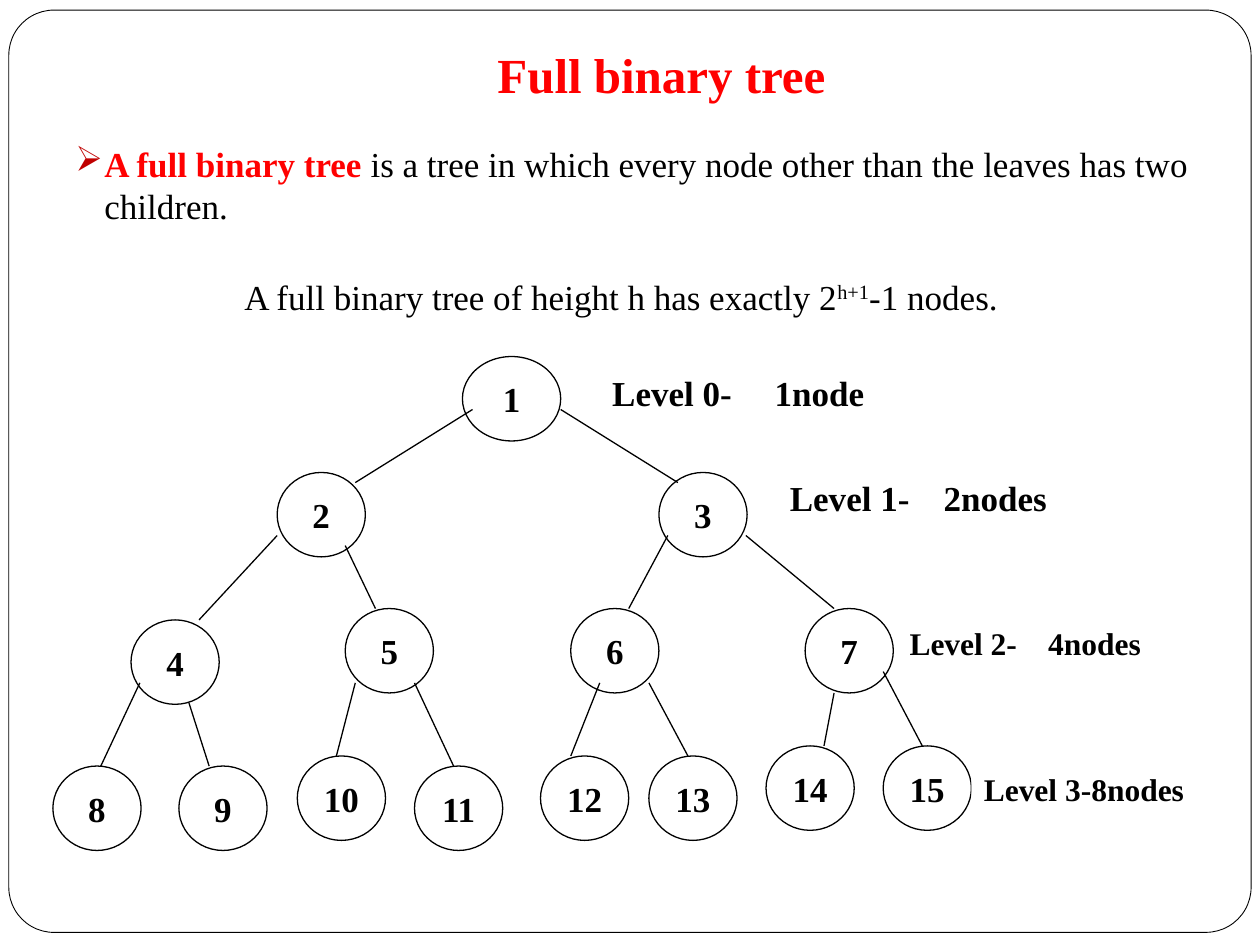
from dataclasses import dataclass
from typing import Optional

from lxml.etree import SubElement
from pptx import Presentation
from pptx.dml.color import RGBColor
from pptx.enum.shapes import MSO_CONNECTOR, MSO_SHAPE
from pptx.enum.text import MSO_ANCHOR, PP_ALIGN
from pptx.oxml.ns import qn
from pptx.util import Inches, Pt

BLACK = RGBColor(0, 0, 0)
WHITE = RGBColor(255, 255, 255)
RED = RGBColor(255, 0, 0)
FACE = "Times New Roman"


@dataclass
class Node:
    num: int
    left: float
    top: float
    link: Optional[tuple] = None  # line from the parent: x1, y1, x2, y2
    width: float = 0.7


@dataclass
class Label:
    level: str
    count: str
    left: float
    top: float
    width: float
    size: int
    tab: float = 0  # where the count starts, if set apart


NODES = [
    Node(1, 3.67, 2.83, width=0.78),
    Node(2, 2.2, 3.75, (3.75, 3.25, 2.82, 3.83)),
    Node(3, 5.23, 3.75, (4.45, 3.25, 5.38, 3.83)),
    Node(4, 1.04, 4.92, (2.2, 4.25, 1.58, 4.92)),
    Node(5, 2.74, 4.83, (2.74, 4.33, 2.98, 4.83)),
    Node(6, 4.53, 4.83, (5.3, 4.25, 4.99, 4.83)),
    Node(7, 6.39, 4.83, (5.92, 4.25, 6.62, 4.83)),
    Node(8, 0.42, 6.08, (1.11, 5.42, 0.8, 6.08)),
    Node(9, 1.42, 6.08, (1.5, 5.58, 1.66, 6.08)),
    Node(10, 2.36, 6, (2.82, 5.42, 2.67, 6)),
    Node(11, 3.29, 6.08, (3.29, 5.42, 3.6, 6.08)),
    Node(12, 4.29, 6, (4.76, 5.42, 4.53, 6)),
    Node(13, 5.15, 6, (5.15, 5.42, 5.46, 6)),
    Node(14, 6.08, 5.92, (6.62, 5.5, 6.54, 5.92)),
    Node(15, 7.01, 5.92, (7.01, 5.33, 7.32, 5.92)),
]
LABELS = [
    Label("Level 0-", "1node", 4.76, 2.9, 2.21, 20, 1.29),
    Label("Level 1-", "2nodes", 6.17, 3.73, 2.25, 20, 1.22),
    Label("Level 2-", "4nodes", 7.12, 4.9, 2.21, 18, 1.1),
    Label("Level 3-", "8nodes", 7.71, 6.06, 1.79, 18),
]


def style(par, size: int, bold: bool = False, color: RGBColor = BLACK) -> None:
    font = par.font
    font.name, font.size, font.bold = FACE, Pt(size), bold
    font.color.rgb = color


def add_tab(par, pos: float) -> None:
    tabs = SubElement(par._p.get_or_add_pPr(), qn("a:tabLst"))
    SubElement(tabs, qn("a:tab"), pos=str(Inches(pos)), algn="l")


def draw_node(slide, node: Node) -> None:
    oval = slide.shapes.add_shape(
        MSO_SHAPE.OVAL, Inches(node.left), Inches(node.top),
        Inches(node.width), Inches(0.67))
    oval.shadow.inherit = False
    oval.fill.solid()
    oval.fill.fore_color.rgb = WHITE
    oval.line.color.rgb = BLACK
    oval.line.width = Pt(0.75)
    frame = oval.text_frame
    frame.word_wrap = False
    frame.vertical_anchor = MSO_ANCHOR.MIDDLE
    par = frame.paragraphs[0]
    par.text = str(node.num)
    par.alignment = PP_ALIGN.CENTER
    style(par, 20, True)


def draw_link(slide, link: tuple) -> None:
    line = slide.shapes.add_connector(
        MSO_CONNECTOR.STRAIGHT, *(Inches(v) for v in link))
    line.line.color.rgb = BLACK
    line.line.width = Pt(0.75)
    SubElement(line._element.spPr, qn("a:effectLst"))


def draw_label(slide, label: Label) -> None:
    box = slide.shapes.add_textbox(
        Inches(label.left), Inches(label.top), Inches(label.width),
        Inches(0.44 if label.size == 20 else 0.4))
    box.fill.solid()
    box.fill.fore_color.rgb = WHITE
    frame = box.text_frame
    frame.word_wrap = True
    frame.margin_right = 0
    par = frame.paragraphs[0]
    if label.tab:
        add_tab(par, label.tab)
    par.text = label.level + ("\t" if label.tab else "") + label.count
    style(par, label.size, True)


def draw_frame(slide) -> None:
    edge = slide.shapes.add_shape(
        MSO_SHAPE.ROUNDED_RECTANGLE, Inches(0.07), Inches(0.08),
        Inches(9.86), Inches(7.32))
    edge.adjustments[0] = 0.049
    edge.shadow.inherit = False
    edge.fill.background()
    edge.line.color.rgb = BLACK
    edge.line.width = Pt(0.5)


def draw_title(slide) -> None:
    box = slide.shapes.add_textbox(
        Inches(1), Inches(0.25), Inches(8.5), Inches(0.67))
    frame = box.text_frame
    frame.word_wrap = True
    frame.margin_bottom = Inches(0.1)
    frame.vertical_anchor = MSO_ANCHOR.BOTTOM
    par = frame.paragraphs[0]
    par.text = "Full binary tree"
    par.alignment = PP_ALIGN.CENTER
    style(par, 28, True, RED)


def draw_body(slide) -> None:
    box = slide.shapes.add_textbox(
        Inches(0.5), Inches(1.08), Inches(9.25), Inches(1.48))
    frame = box.text_frame
    frame.word_wrap = True

    # Definition with an arrow bullet
    par = frame.paragraphs[0]
    props = par._p.get_or_add_pPr()
    props.set("marL", str(Inches(0.23)))
    props.set("indent", str(-Inches(0.23)))
    tint = SubElement(props, qn("a:buClr"))
    SubElement(tint, qn("a:srgbClr"), val="C00000")
    SubElement(props, qn("a:buChar"), char="➢")
    style(par, 20)
    term = par.add_run()
    term.text = "A full binary tree "
    term.font.bold = True
    term.font.color.rgb = RED
    par.add_run().text = (
        "is a tree in which every node other than the leaves has two children.")

    # Node count formula
    par = frame.add_paragraph()
    par._p.get_or_add_pPr().set("marL", str(Inches(1.34)))
    par.space_before = Pt(28)
    style(par, 20)
    par.add_run().text = "A full binary tree of height h has exactly 2"
    power = par.add_run()
    power.text = "h+1"
    power._r.get_or_add_rPr().set("baseline", "30000")
    par.add_run().text = "-1 nodes."


def main() -> None:
    deck = Presentation()
    deck.slide_width, deck.slide_height = Inches(10), Inches(7.5)
    slide = deck.slides.add_slide(deck.slide_layouts[6])
    draw_frame(slide)
    draw_title(slide)

    # Tree, with links above the nodes
    for node in NODES:
        draw_node(slide, node)
    for node in NODES:
        if node.link:
            draw_link(slide, node.link)
    for label in LABELS:
        draw_label(slide, label)

    draw_body(slide)
    deck.save("out.pptx")


if __name__ == "__main__":
    main()
